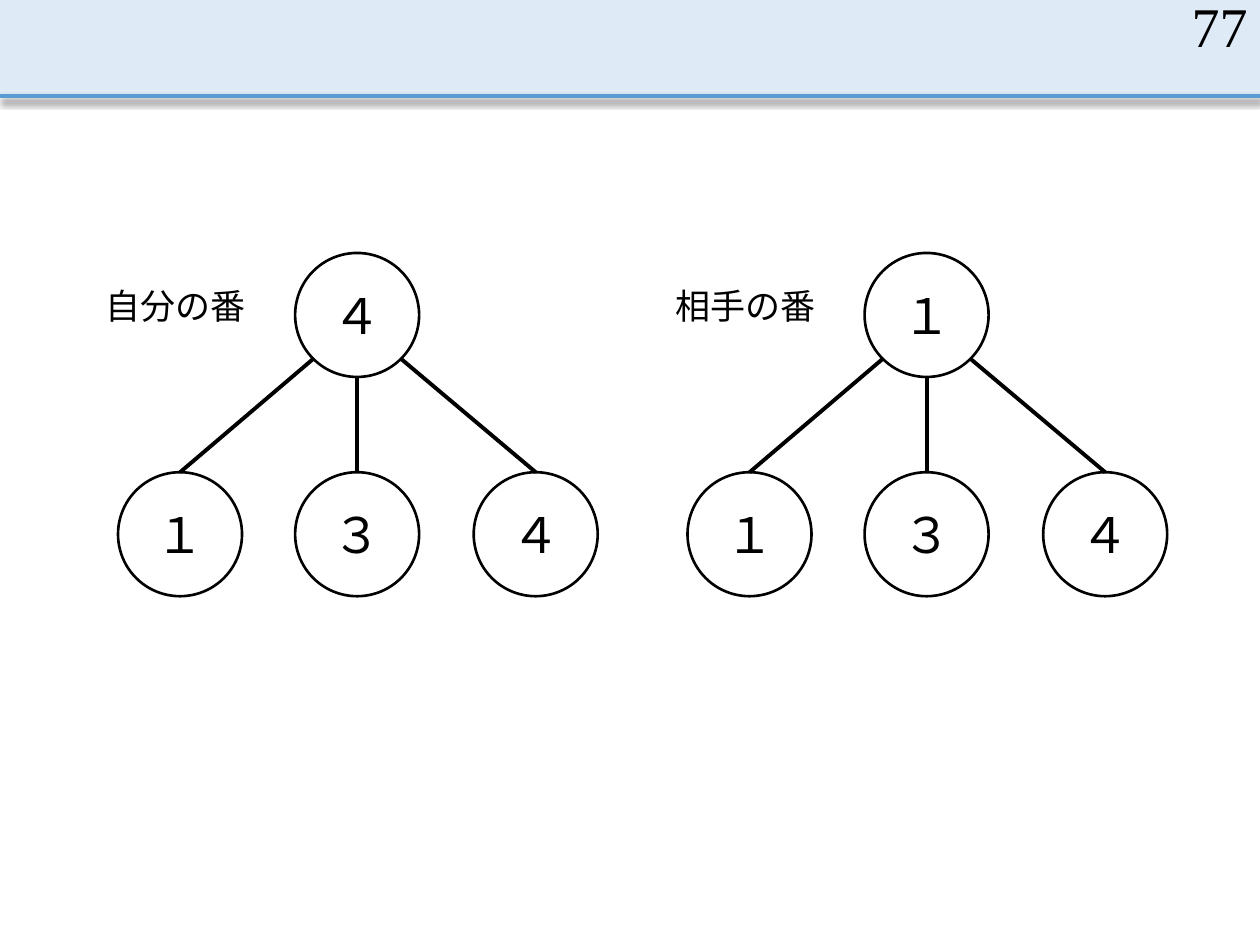
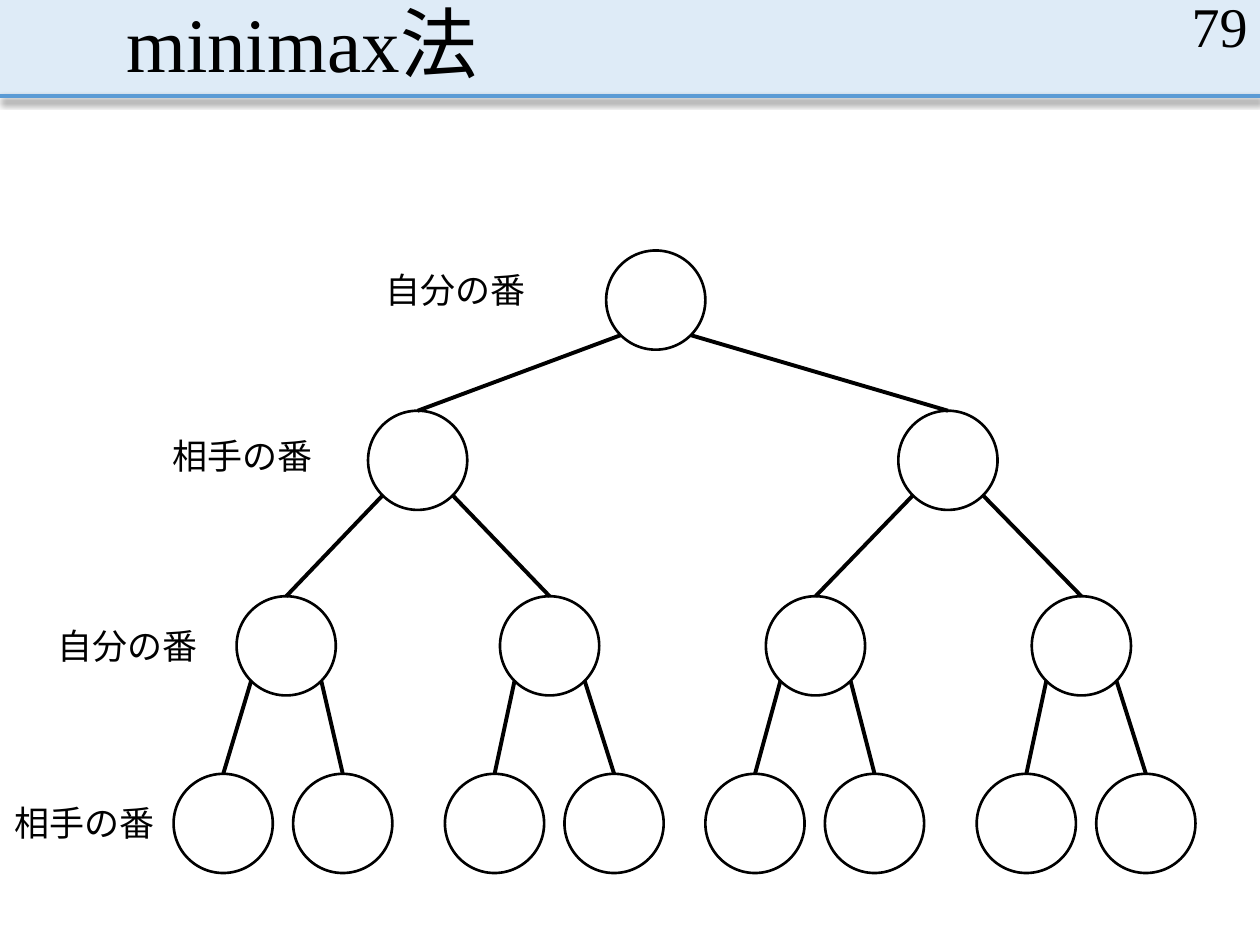
"""Build two slides of game trees: single-turn choices and the minimax method."""
from dataclasses import dataclass
from math import copysign, sqrt

from lxml.etree import SubElement
from pptx import Presentation
from pptx.dml.color import RGBColor
from pptx.enum.lang import MSO_LANGUAGE_ID as Lang
from pptx.enum.shapes import MSO_CONNECTOR as Connector, MSO_SHAPE as Shape
from pptx.enum.text import MSO_ANCHOR as Anchor, MSO_AUTO_SIZE as AutoSize, PP_ALIGN as Align
from pptx.oxml.ns import qn
from pptx.util import Cm, Pt

TITLE_ONLY, BLANK = 5, 6
MY_TURN, THEIR_TURN = "自分の番", "相手の番"


@dataclass(frozen=True)
class Theme:
    font: str = "Times New Roman"
    ink: RGBColor = RGBColor(0x00, 0x00, 0x00)
    paper: RGBColor = RGBColor(0xFF, 0xFF, 0xFF)
    band: RGBColor = RGBColor(0xDE, 0xEB, 0xF7)
    rule: RGBColor = RGBColor(0x5B, 0x9B, 0xD5)
    title_size: int = 44
    page_size: int = 32
    value_size: int = 28
    label_size: int = 20
    outline: float = 1.5
    edge: float = 2.25


@dataclass(frozen=True)
class Node:
    x: float
    y: float
    radius: float


class Deck:
    def __init__(self, theme):
        self.theme = theme
        self.prs = Presentation()
        self.prs.slide_width, self.prs.slide_height = Cm(25.4), Cm(19.05)
        self.slide = None

    def start(self, page, title=None):
        first = self.slide is None
        layout = self.prs.slide_layouts[TITLE_ONLY if title else BLANK]
        self.slide = self.prs.slides.add_slide(layout)
        if first:
            self.header()
        if title:
            self.title(title)
        self.page_number(page)

    def header(self):
        band = self.slide.shapes.add_shape(Shape.RECTANGLE, 0, 0, Cm(25.4), Cm(1.93))
        band.shadow.inherit = False
        band.fill.solid()
        band.fill.fore_color.rgb = self.theme.band
        band.line.fill.background()
        rule, effects = self.line((0, 1.93), (25.4, 1.93), self.theme.rule)
        shadow = SubElement(effects, qn("a:outerShdw"), blurRad=str(Pt(4)),
                            dist=str(Pt(2.5)), dir="5400000", rotWithShape="0")
        color = SubElement(shadow, qn("a:srgbClr"), val=str(self.theme.ink))
        SubElement(color, qn("a:alpha"), val="47000")
        backdrop = self.prs.slide_master.shapes.element
        for place, part in enumerate((band, rule), start=2):
            backdrop.insert(place, part.element)

    def set_text(self, shape, text, size, align=Align.LEFT, anchor=Anchor.TOP):
        frame = shape.text_frame
        frame.text = text
        frame.word_wrap = True
        frame.vertical_anchor = anchor
        paragraph = frame.paragraphs[0]
        paragraph.alignment = align
        for run in paragraph.runs:
            run.font.name = self.theme.font
            run.font.size = Pt(size)
            run.font.color.rgb = self.theme.ink
            run.font.language_id = Lang.JAPANESE
        return frame

    def title(self, text):
        heading = self.slide.shapes.title
        heading.left, heading.top = Cm(2.29), 0
        heading.width, heading.height = Cm(20.95), Cm(1.93)
        frame = self.set_text(heading, text, self.theme.title_size, anchor=Anchor.BOTTOM)
        frame.auto_size = AutoSize.NONE
        frame.paragraphs[0].line_spacing = 0.9

    def page_number(self, page):
        corner = self.slide.shapes.add_textbox(Cm(19.69), 0, Cm(5.71), Cm(1.02))
        self.set_text(corner, str(page), self.theme.page_size, Align.RIGHT, Anchor.MIDDLE)

    def label(self, text, left, top):
        caption = self.slide.shapes.add_textbox(Cm(left), Cm(top), Cm(3.45), Cm(1.11))
        frame = self.set_text(caption, text, self.theme.label_size)
        frame.auto_size = AutoSize.SHAPE_TO_FIT_TEXT

    def line(self, start, end, color):
        stroke = self.slide.shapes.add_connector(
            Connector.STRAIGHT, *(Cm(length) for length in (*start, *end)))
        stroke.line.color.rgb = color
        stroke.line.width = Pt(self.theme.edge)
        effects = SubElement(stroke.element.spPr, qn("a:effectLst"))
        return stroke, effects

    def node(self, x, top, radius, value=None):
        side = Cm(2 * radius)
        circle = self.slide.shapes.add_shape(Shape.OVAL, Cm(x - radius), Cm(top), side, side)
        circle.shadow.inherit = False
        circle.fill.solid()
        circle.fill.fore_color.rgb = self.theme.paper
        circle.line.color.rgb = self.theme.ink
        circle.line.width = Pt(self.theme.outline)
        if value:
            self.set_text(circle, value, self.theme.value_size, Align.CENTER, Anchor.MIDDLE)
        return Node(x, top + radius, radius)

    def branch(self, parent, child):
        shift = child.x - parent.x
        reach = parent.radius / sqrt(2)
        if abs(shift) < 0.1:
            start = (parent.x, parent.y + parent.radius)
        else:
            start = (parent.x + copysign(reach, shift), parent.y + reach)
        self.line(start, (child.x, child.y - child.radius), self.theme.ink)


def turn_choices(deck):
    deck.start(77)
    radius = 1.25
    for turn, best, shift in ((MY_TURN, "４", 0), (THEIR_TURN, "１", 11.48)):
        root = deck.node(7.2 + shift, 5.1, radius, best)
        for x, value in zip((3.63, 7.2, 10.8), "１３４"):
            deck.branch(root, deck.node(x + shift, 9.52, radius, value))
        deck.label(turn, 1.88 + shift, 5.61)


def minimax_tree(deck):
    deck.start(79, "minimax法")
    pairs = (4.5, 9.97, 15.22, 20.69)
    levels = (
        (MY_TURN, 5.05, (13.22,), 7.52, 5.28),
        (THEIR_TURN, 8.28, (8.42, 19.11), 3.23, 8.64),
        (MY_TURN, 12.02, (5.77, 11.08, 16.44, 21.8), 0.91, 12.47),
        (THEIR_TURN, 15.6, [x + gap for x in pairs for gap in (0, 2.41)], 0.05, 16.03),
    )
    parents = []
    for turn, top, centres, label_left, label_top in levels:
        children = [deck.node(x, top, 1) for x in centres]
        if parents:
            for order, child in enumerate(children):
                deck.branch(parents[order // 2], child)
        deck.label(turn, label_left, label_top)
        parents = children


def main():
    deck = Deck(Theme())
    turn_choices(deck)
    minimax_tree(deck)
    deck.prs.save("out.pptx")


if __name__ == "__main__":
    main()
